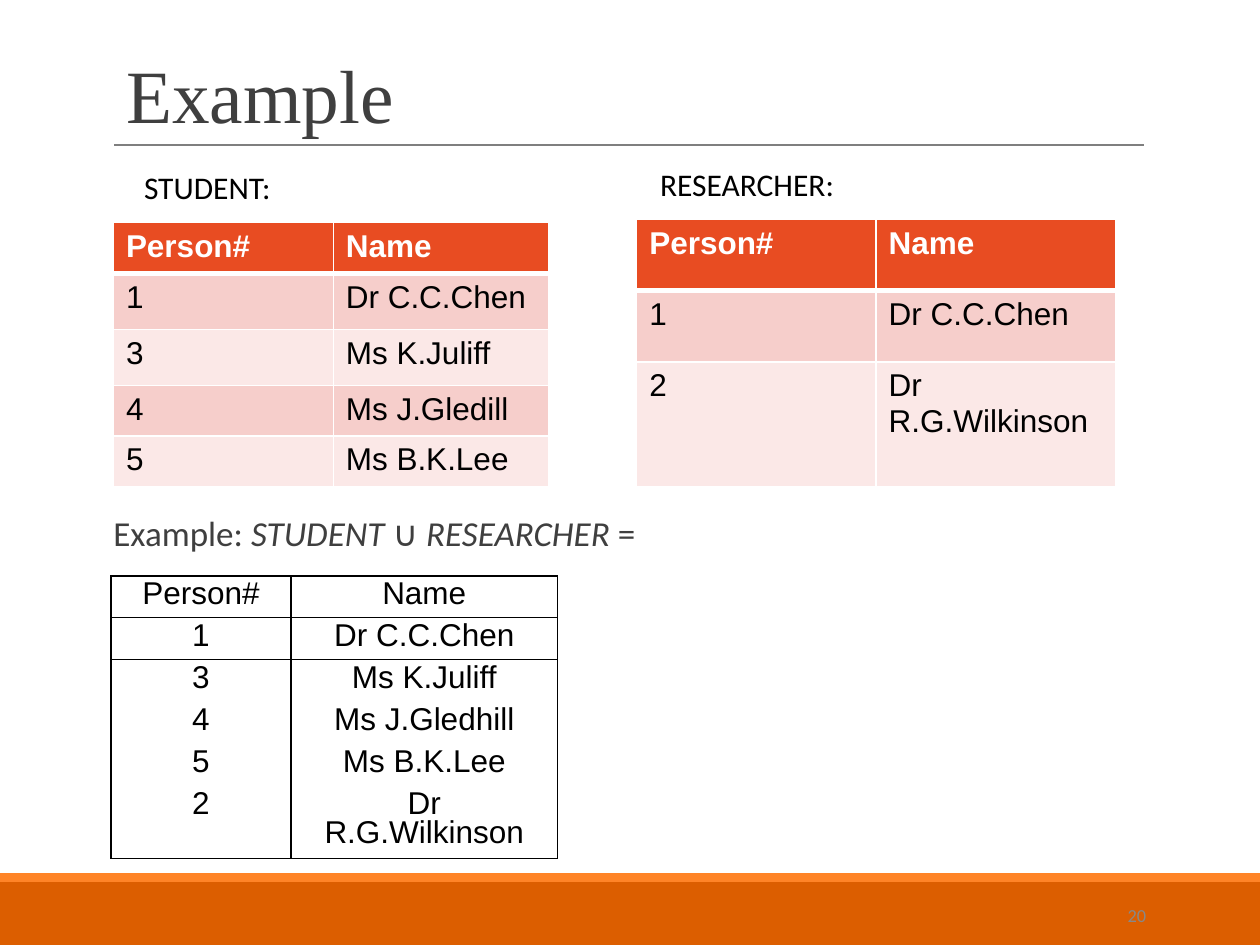
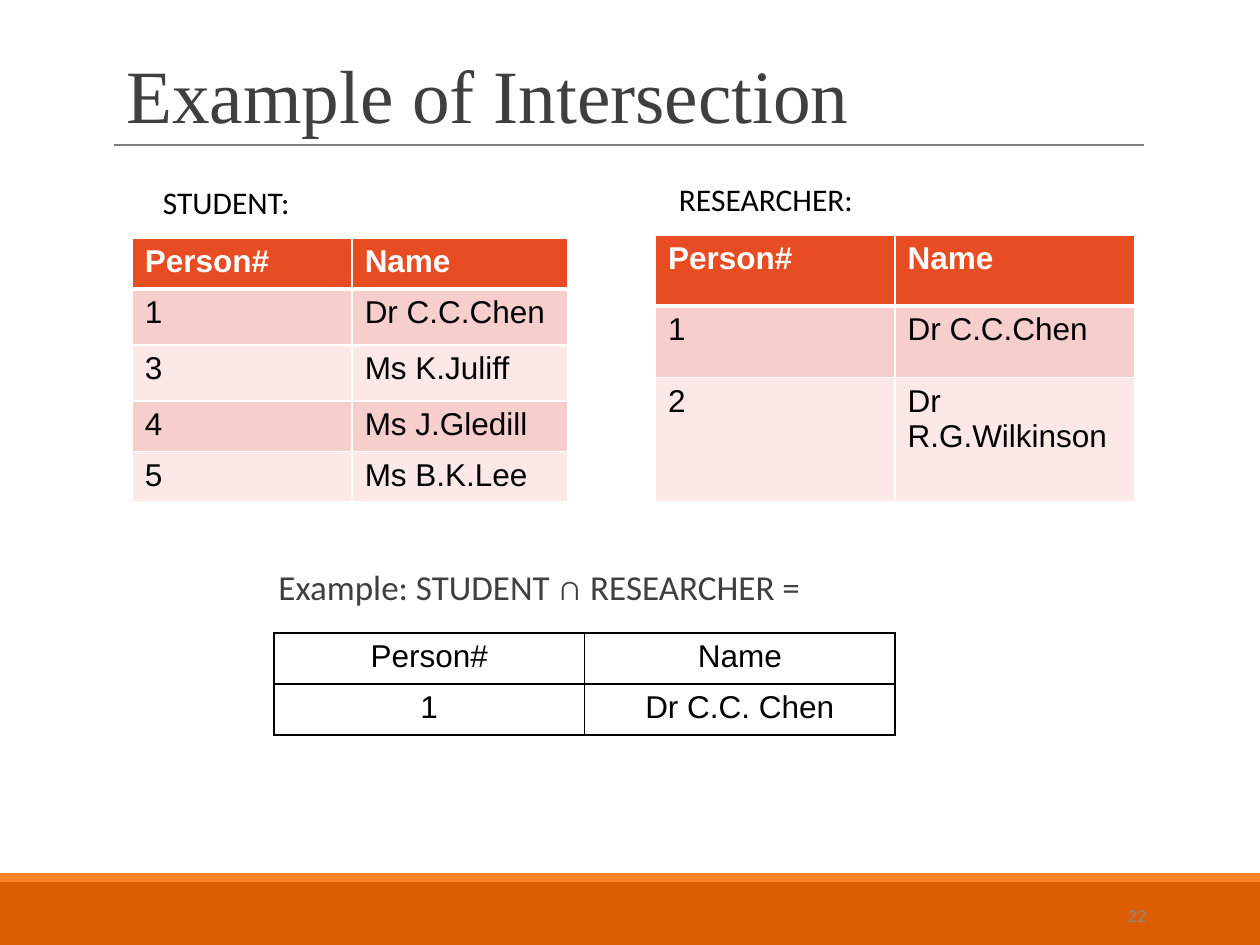
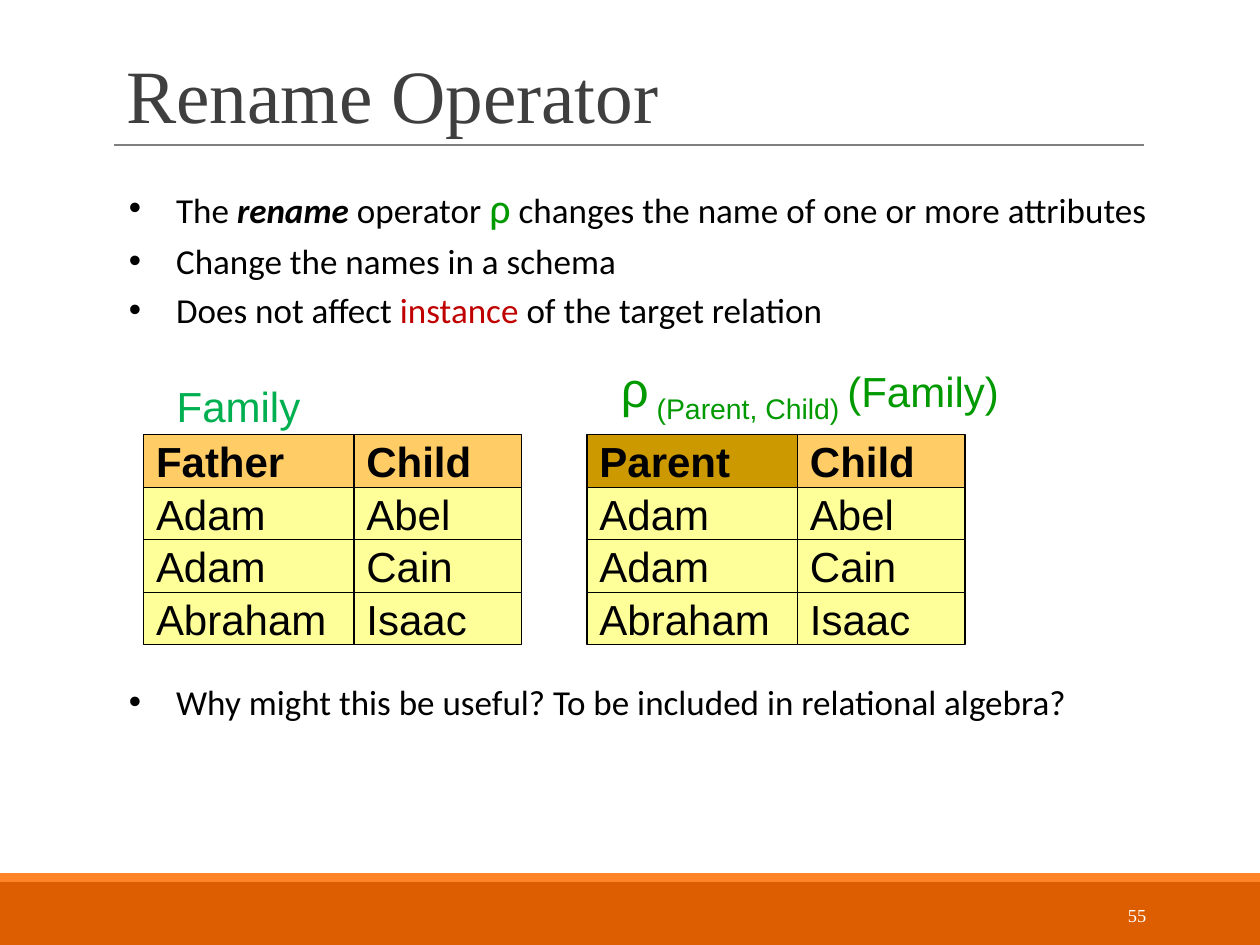
from lxml import etree
from pptx import Presentation
from pptx.dml.color import RGBColor
from pptx.enum.shapes import MSO_CONNECTOR, MSO_SHAPE
from pptx.enum.text import MSO_ANCHOR, PP_ALIGN
from pptx.oxml.ns import qn
from pptx.util import Inches, Pt

RECTANGLE = MSO_SHAPE.RECTANGLE
STRAIGHT = MSO_CONNECTOR.STRAIGHT
TOP, MIDDLE, BOTTOM = MSO_ANCHOR.TOP, MSO_ANCHOR.MIDDLE, MSO_ANCHOR.BOTTOM
LEFT, CENTER, RIGHT = PP_ALIGN.LEFT, PP_ALIGN.CENTER, PP_ALIGN.RIGHT

# The slide is a grid of 100 columns by 75 rows.
COLUMNS, ROWS = 100, 75
UNIT = Inches(0.1)

SANS, SERIF, TABLE_FONT = "Calibri", "Times New Roman", "Arial"
BLACK, WHITE, GREY = "000000", "FFFFFF", "888888"
DARK, RULE = "3F3F3F", "7F7F7F"
BAND, BAND_EDGE = "DC5E00", "FF8427"
HEADER, ODD_ROW, EVEN_ROW = "E84C22", "F6CECB", "FBE8E7"
GOLD, DARK_GOLD, YELLOW = "FFCC66", "CC9900", "FFFF99"
GREEN, BRIGHT_GREEN, RED = "009900", "00B050", "C00000"

STUDENTS = [("Person#", "Name"), ("1", "Dr C.C.Chen"), ("3", "Ms K.Juliff"),
            ("4", "Ms J.Gledill"), ("5", "Ms B.K.Lee")]
RESEARCHERS = [("Person#", "Name"), ("1", "Dr C.C.Chen"), ("2", "Dr R.G.Wilkinson")]
UNION = [("Person#", "Name"), ("1", "Dr C.C.Chen"), ("3", "Ms K.Juliff"),
         ("4", "Ms J.Gledhill"), ("5", "Ms B.K.Lee"), ("2", "Dr R.G.Wilkinson")]
INTERSECTION = [("Person#", "Name"), ("1", "Dr C.C. Chen")]
FAMILY = [("Adam", "Abel"), ("Adam", "Cain"), ("Abraham", "Isaac")]


def cells(*counts):
    """Turn grid counts into lengths."""
    return [round(count * UNIT) for count in counts]


def rgb(color):
    return RGBColor.from_string(color)


def style_font(font, size=None, name=None, color=None, bold=None, italic=None):
    if size:
        font.size = Pt(size)
    if name:
        font.name = name
    if color:
        font.color.rgb = rgb(color)
    if bold is not None:
        font.bold = bold
    if italic is not None:
        font.italic = italic


def add_bullet(para, indent):
    props = para._p.get_or_add_pPr()
    props.set("marL", str(indent))
    props.set("indent", str(-indent))
    color = etree.SubElement(props, qn("a:buClr"))
    etree.SubElement(color, qn("a:srgbClr"), val=BLACK)
    etree.SubElement(props, qn("a:buFont"), typeface="Arial")
    etree.SubElement(props, qn("a:buChar"), char="•")


def write_spans(para, spans):
    """Add spans, each a string or a (text, font changes) pair."""
    for item in spans:
        text, changes = (item, {}) if isinstance(item, str) else item
        span = para.add_run()
        span.text = text
        changes = dict(changes)
        baseline = changes.pop("baseline", None)
        if baseline:
            span._r.get_or_add_rPr().set("baseline", str(baseline))
        style_font(span.font, **changes)


def add_text(page, place, paras, size, color, name=SANS, align=LEFT, anchor=TOP,
             spacing=None, inset=1, bullets=False):
    """Write paras, each a list of spans, in a box at a grid place."""
    frame = page.shapes.add_textbox(*cells(*place)).text_frame
    frame.word_wrap = True
    frame.vertical_anchor = anchor
    frame.margin_left, = cells(inset)
    for index, spans in enumerate(paras):
        para = frame.add_paragraph() if index else frame.paragraphs[0]
        para.alignment = align
        if spacing:
            para.line_spacing = spacing
        if index:
            para.space_before = Pt(4)
        if bullets:
            add_bullet(para, *cells(3.75))
        style_font(para.font, size, name, color)
        write_spans(para, spans)


def add_rectangle(page, place, color):
    box = page.shapes.add_shape(RECTANGLE, *cells(*place))
    box.shadow.inherit = False
    box.fill.solid()
    box.fill.fore_color.rgb = rgb(color)
    box.line.fill.background()
    return box


def add_page(deck, title, number, number_color=GREY, number_font=SANS):
    """Add a slide with the shared bands, rule, title and page number."""
    page = deck.slides.add_slide(deck.slide_layouts[6])
    add_rectangle(page, (0, 70, COLUMNS, 5), BAND)
    add_rectangle(page, (0, 69.3, COLUMNS, 0.7), BAND_EDGE)
    rule = page.shapes.add_connector(STRAIGHT, *cells(9.06, 11.5, 90.8, 11.5))
    rule.line.color.rgb = rgb(RULE)
    rule.line.width = Pt(0.75)
    etree.SubElement(rule._element.spPr, qn("a:effectLst"))
    add_text(page, (9.04, 3.1, 82.5, 8.4), [[title]], 43, DARK, SERIF,
             anchor=BOTTOM, spacing=0.85)
    add_text(page, (81.15, 70.6, 10.8, 4), [[number]], 10.5, number_color,
             number_font, align=RIGHT, anchor=MIDDLE)
    return page


def set_edges(cell, color, widths):
    """Draw the left, right, top and bottom edges; width 0 hides one."""
    props = cell._tc.get_or_add_tcPr()
    for side, width in zip("LRTB", widths):
        edge = etree.SubElement(props, qn(f"a:ln{side}"), w=str(Pt(width)))
        if width:
            fill = etree.SubElement(edge, qn("a:solidFill"))
            etree.SubElement(fill, qn("a:srgbClr"), val=color)
        else:
            etree.SubElement(edge, qn("a:noFill"))


def add_grid(page, left, top, widths, heights, records, look,
             align=LEFT, spacing=None, margin=0.5):
    """Add a table; look(row) gives fill, font changes, edge colour and widths."""
    place = cells(left, top, sum(widths), sum(heights))
    table = page.shapes.add_table(len(records), len(widths), *place).table
    table.first_row = table.horz_banding = False
    for column, width in zip(table.columns, cells(*widths)):
        column.width = width
    for line, height in zip(table.rows, cells(*heights)):
        line.height = height
    for row, record in enumerate(records):
        fill, font, edge_color, edges = look(row)
        for column, text in enumerate(record):
            cell = table.cell(row, column)
            set_edges(cell, edge_color, edges)
            if fill:
                cell.fill.solid()
                cell.fill.fore_color.rgb = rgb(fill)
            else:
                cell.fill.background()
            cell.margin_top, cell.margin_bottom = cells(margin, margin)
            para = cell.text_frame.paragraphs[0]
            para.alignment = align
            if spacing:
                para.line_spacing = spacing
            style_font(para.font, 18, TABLE_FONT, **font)
            write_spans(para, [text])


def banded_look(row):
    if row == 0:
        return HEADER, {"color": WHITE, "bold": True}, WHITE, (1, 1, 1, 3)
    fill = ODD_ROW if row % 2 else EVEN_ROW
    return fill, {"color": BLACK}, WHITE, (1, 1, 3 if row == 1 else 1, 1)


def boxed_look(row):
    return None, {"color": BLACK}, BLACK, (1, 1, 1, 1)


def union_look(row):
    """Rule off the first two rows and close the table after the last."""
    below = row < 2 or row == len(UNION) - 1
    return None, {"color": BLACK}, BLACK, (1, 1, int(row < 3), int(below))


def add_relations(page, left, top):
    """Place the labelled STUDENT and RESEARCHER tables side by side."""
    add_text(page, (left + 1.45, top - 4.83, 30, 4), [["STUDENT:"]], 18, BLACK)
    add_text(page, (left + 42.4, top - 5.06, 30, 4), [["RESEARCHER:"]], 18, BLACK)
    add_grid(page, left + 41.53, top - 0.23, (19, 19), (5.65, 5.65, 9.9),
             RESEARCHERS, banded_look)
    add_grid(page, left, top, (17.45, 17.1), (4.07, 4.44, 4.44, 4.02, 4.02),
             STUDENTS, banded_look)


def add_family(page, left, header, header_colors):
    """Build a relation from boxes, a header row above the family rows."""
    widths, height = (16.7, 13.3), 4.17
    for row, record in enumerate([header] + FAMILY):
        colors = (YELLOW, YELLOW) if row else header_colors
        for column, text in enumerate(record):
            place = (left + sum(widths[:column]), 34.5 + row * height,
                     widths[column], height)
            box = add_rectangle(page, place, colors[column])
            box.line.color.rgb = rgb(BLACK)
            box.line.width = Pt(0.75)
            box.text_frame.vertical_anchor = MIDDLE
            para = box.text_frame.paragraphs[0]
            para.alignment = LEFT
            style_font(para.font, 24, TABLE_FONT, BLACK, bold=row == 0)
            # The box style's white text is overridden on the span.
            write_spans(para, [(text, {"color": BLACK})])


def add_union_page(deck):
    page = add_page(deck, "Example", "20")
    add_relations(page, 9, 17.65)
    italic = {"italic": True}
    formula = ["Example: ", ("STUDENT", italic), " ∪ ", ("RESEARCHER", italic), " ="]
    add_text(page, (9, 40.5, 82.5, 4.2), [formula], 20, DARK, spacing=0.9, inset=0)
    add_grid(page, 8.8, 45.7, (14.3, 21.15), (3.33,) * len(UNION), UNION,
             union_look, align=CENTER, spacing=0.83, margin=0.42)


def add_intersection_page(deck):
    page = add_page(deck, "Example of Intersection", "22")
    add_relations(page, 10.5, 18.87)
    add_text(page, (20.1, 44.8, 59.8, 3.4), [["Example: STUDENT ∩ RESEARCHER ="]],
             20, DARK, spacing=0.9, inset=2)
    add_grid(page, 21.74, 50.23, (24.65, 24.65), (4.05, 4.05), INTERSECTION,
             boxed_look, align=CENTER)


def add_rename_page(deck):
    page = add_page(deck, "Rename Operator", "55", WHITE, SERIF)
    points = [
        ["The ", ("rename", {"bold": True, "italic": True}), " operator ",
         ("ρ", {"size": 24, "color": GREEN}),
         " changes the name of one or more attributes"],
        ["Change the names in a schema"],
        ["Does not affect ", ("instance ", {"color": RED}), "of the target relation"],
    ]
    question = ["Why might this be useful? To be included in relational algebra?"]
    add_text(page, (9.24, 13.94, 87.2, 13), points, 20, BLACK, bullets=True)
    add_text(page, (9.24, 53.52, 87.2, 5), [question], 20, BLACK, bullets=True)

    add_text(page, (13.04, 30.55, 15, 3.3), [["Family"]], 24, BRIGHT_GREEN,
             TABLE_FONT, anchor=MIDDLE)
    add_family(page, 11.4, ("Father", "Child"), (GOLD, GOLD))
    renamed = ["ρ", (" (Parent, Child) ", {"baseline": -25000}),
               ("(Family)", {"size": 24})]
    add_text(page, (48.3, 29.44, 46.2, 3.3), [renamed], 28, GREEN, TABLE_FONT,
             anchor=MIDDLE)
    add_family(page, 46.6, ("Parent", "Child"), (DARK_GOLD, GOLD))


def main():
    deck = Presentation()
    deck.slide_width, deck.slide_height = cells(COLUMNS, ROWS)
    add_union_page(deck)
    add_intersection_page(deck)
    add_rename_page(deck)
    deck.save("out.pptx")


if __name__ == "__main__":
    main()
